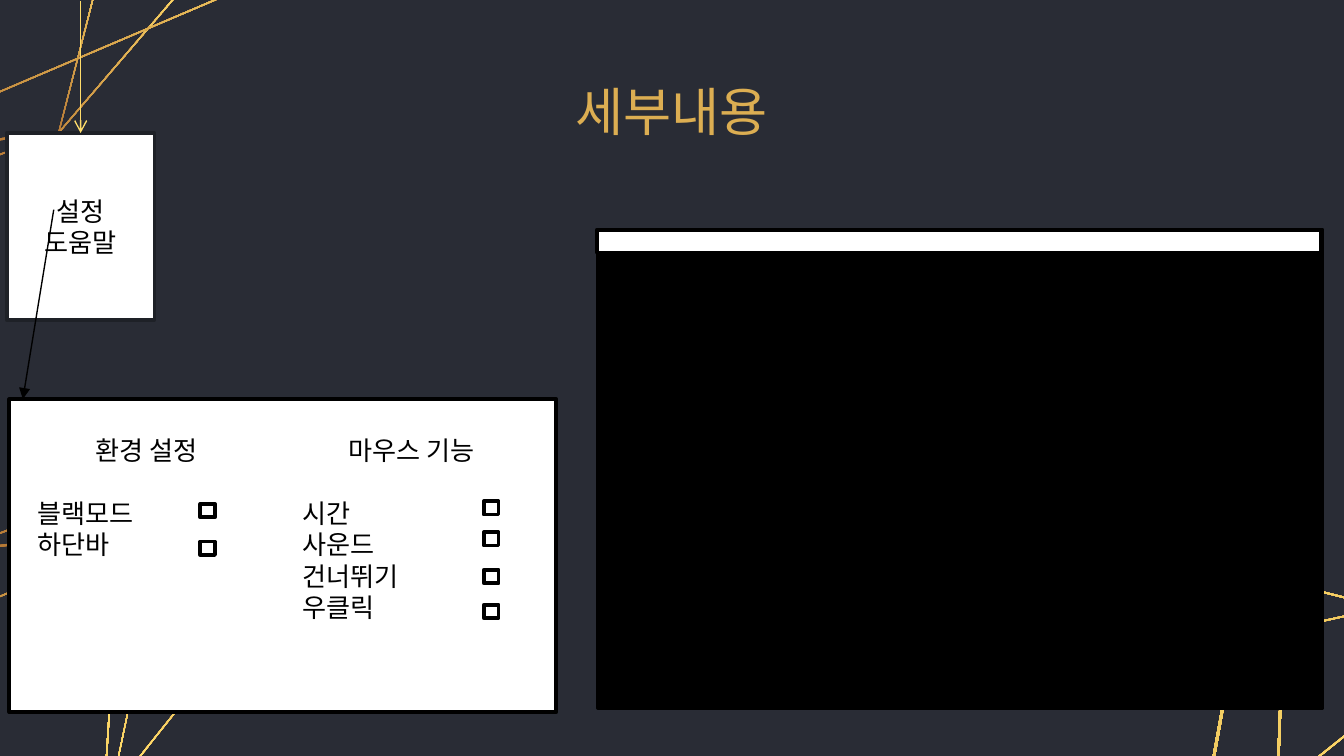
import copy
import math

import lxml.etree
import pptx
import pptx.dml.color
import pptx.enum.dml
import pptx.enum.shapes
import pptx.enum.text
import pptx.oxml.ns
import pptx.util

COLS, ROWS = 100, 56.25
WIDTH = pptx.util.Inches(10)
HEIGHT = WIDTH * 9 // 16
HUES = {
    "back": "292C35", "gold": "DCAE52", "light": "FFDD6B", "bronze": "AF7132",
    "white": "FFFFFF", "black": "000000", "edge": "1E2127",
}
ALIGN = pptx.enum.text.PP_ALIGN
ANCHOR = pptx.enum.text.MSO_ANCHOR
RECT = pptx.enum.shapes.MSO_SHAPE.RECTANGLE

PIVOT = (-10.5, 67.5)
WIRES = [
    [(-10.5, 67.5), (-16.4, 55.8), (-3.7, 41), (5.9, 37.4), (8.8, 43.1), (7.6, 62.3)],
    [(-1.8, 71.7), (-10.5, 67.5), (-3.7, 41), (12.5, 39), (7.6, 62.3)],
    [(-1.8, 71.7), (-16.1, 51.2), (12.5, 39), (13.8, 52.1)],
]
POSES = [(0, 1, -10.5, 67.5), (180, 1, 11.2, -16.6), (37, 1.24, 88.9, 63.6)]


def across(cols):
    return round(WIDTH * cols / COLS)


def down(rows):
    return round(HEIGHT * rows / ROWS)


def area(left, top, width, height):
    return across(left), down(top), across(width), down(height)


def tint(name):
    return pptx.dml.color.RGBColor.from_string(HUES[name])


def tag(name):
    return pptx.oxml.ns.qn(name)


def paint(fill, name):
    fill.solid()
    fill.fore_color.rgb = tint(name)


def write(frame, text, size=14, hue="black", font="Arial", align=ALIGN.LEFT,
          anchor=ANCHOR.TOP, head=False):
    frame.word_wrap = True
    frame.auto_size = pptx.enum.text.MSO_AUTO_SIZE.NONE
    frame.vertical_anchor = anchor
    frame.text = text
    for row, para in enumerate(frame.paragraphs):
        first = head and row == 0
        para.alignment = ALIGN.CENTER if first else align
        para.space_before = pptx.util.Pt(0)
        para.space_after = pptx.util.Pt(17 if first else 0)
        for run in para.runs:
            run.font.size = pptx.util.Pt(size)
            run.font.name = font
            run.font.color.rgb = tint(hue)


def place(shape, *cells):
    shape.left, shape.top, shape.width, shape.height = area(*cells)


def panel(slide, cells, fill="white", edge="black", kind=RECT):
    shape = slide.shapes.add_shape(kind, *area(*cells))
    shape.shadow.inherit = False
    paint(shape.fill, fill)
    paint(shape.line.fill, edge)
    shape.line.width = pptx.util.Pt(2)
    return shape


def arrow(slide, start, end, hue, tip):
    line = slide.shapes.add_connector(
        pptx.enum.shapes.MSO_CONNECTOR.STRAIGHT,
        across(start[0]), down(start[1]), across(end[0]), down(end[1]))
    paint(line.line.fill, hue)
    line.line.width = pptx.util.Pt(0.75)
    props = line.element.spPr
    lxml.etree.SubElement(props.find(tag("a:ln")), tag("a:tailEnd"), type=tip)
    lxml.etree.SubElement(props, tag("a:effectLst"))


def turn(point, angle, scale, left, top):
    dx, dy = point[0] - PIVOT[0], point[1] - PIVOT[1]
    cos, sin = math.cos(math.radians(angle)), math.sin(math.radians(angle))
    return left + scale * (dx * cos - dy * sin), top + scale * (dx * sin + dy * cos)


def shrink(points, share=0.99):
    mid = [sum(axis) / len(points) for axis in zip(*points)]
    return [(mid[0] + (x - mid[0]) * share, mid[1] + (y - mid[1]) * share)
            for x, y in points]


def shade(fill, angle):
    fill.gradient()
    fill.gradient_angle = (-90 - angle) % 360
    first, last = fill.gradient_stops
    first.color.rgb, first.position = tint("bronze"), 0
    last.color.rgb, last.position = tint("gold"), 1
    stops = fill._fill._gradFill.gsLst
    stops.insert(1, copy.deepcopy(stops[0]))
    fill.gradient_stops[1].color.rgb = tint("light")
    fill.gradient_stops[1].position = 0.5


def wire(slide, points, pose):
    outer = [turn(point, *pose) for point in points]
    rings = [[(across(x), down(y)) for x, y in ring]
             for ring in (outer, shrink(outer))]
    path = slide.shapes.build_freeform(*rings[0][0])
    path.add_line_segments(rings[0][1:], close=True)
    path.move_to(*rings[1][0])
    path.add_line_segments(rings[1][1:], close=True)
    shape = path.convert_to_shape()
    shape.shadow.inherit = False
    shape.line.fill.background()
    shade(shape.fill, pose[0])


def roster(slide, holder, cells, lines):
    slide.shapes.element.append(holder.element)
    place(holder, *cells)
    write(holder.text_frame, "\n".join(lines), head=True)
    for para in holder.text_frame.paragraphs:
        props = para._p.get_or_add_pPr()
        props.set("marL", "0")
        props.set("indent", "0")
        lxml.etree.SubElement(props, tag("a:buNone"))


def main():
    deck = pptx.Presentation()
    deck.slide_width, deck.slide_height = WIDTH, HEIGHT
    slide = deck.slides.add_slide(deck.slide_layouts[3])
    paint(slide.background.fill, "back")
    title, left, right = list(slide.placeholders)[:3]
    for spare in list(slide.placeholders)[3:]:
        spare.element.getparent().remove(spare.element)

    for pose in POSES:
        for points in WIRES:
            wire(slide, points, pose)

    place(title, 21.8, 5.9, 56.3, 4.7)
    write(title.text_frame, "세부내용", size=28, hue="gold", font="Lato",
          align=ALIGN.CENTER, anchor=ANCHOR.MIDDLE)

    menu = panel(slide, (0.5, 9.9, 11, 13.9), edge="edge",
                 kind=pptx.enum.shapes.MSO_SHAPE.FLOWCHART_PROCESS)
    write(menu.text_frame, "설정\n도움말", align=ALIGN.CENTER, anchor=ANCHOR.MIDDLE)
    arrow(slide, (6, 0.1), (6, 9.9), "light", "arrow")

    panel(slide, (0.7, 29.7, 40.7, 23.3))
    roster(slide, right, (21.5, 31.8, 18.2, 15.6),
           ["마우스 기능", "시간", "사운드", "건너뛰기", "우클릭"])
    roster(slide, left, (1.8, 31.8, 18.2, 13.1),
           ["환경 설정", "블랙모드", "하단바"])
    for col, rows in ((36, (37.3, 39.6, 42.4, 45)), (14.9, (37.5, 40.3))):
        for row in rows:
            panel(slide, (col, row, 1.1, 1))
    arrow(slide, (4, 15.6), (1.7, 29.7), "black", "triangle")

    panel(slide, (44.5, 17.1, 53.9, 35.6), fill="black")
    panel(slide, (44.4, 17.1, 53.9, 1.7))
    deck.save("out.pptx")


if __name__ == "__main__":
    main()
